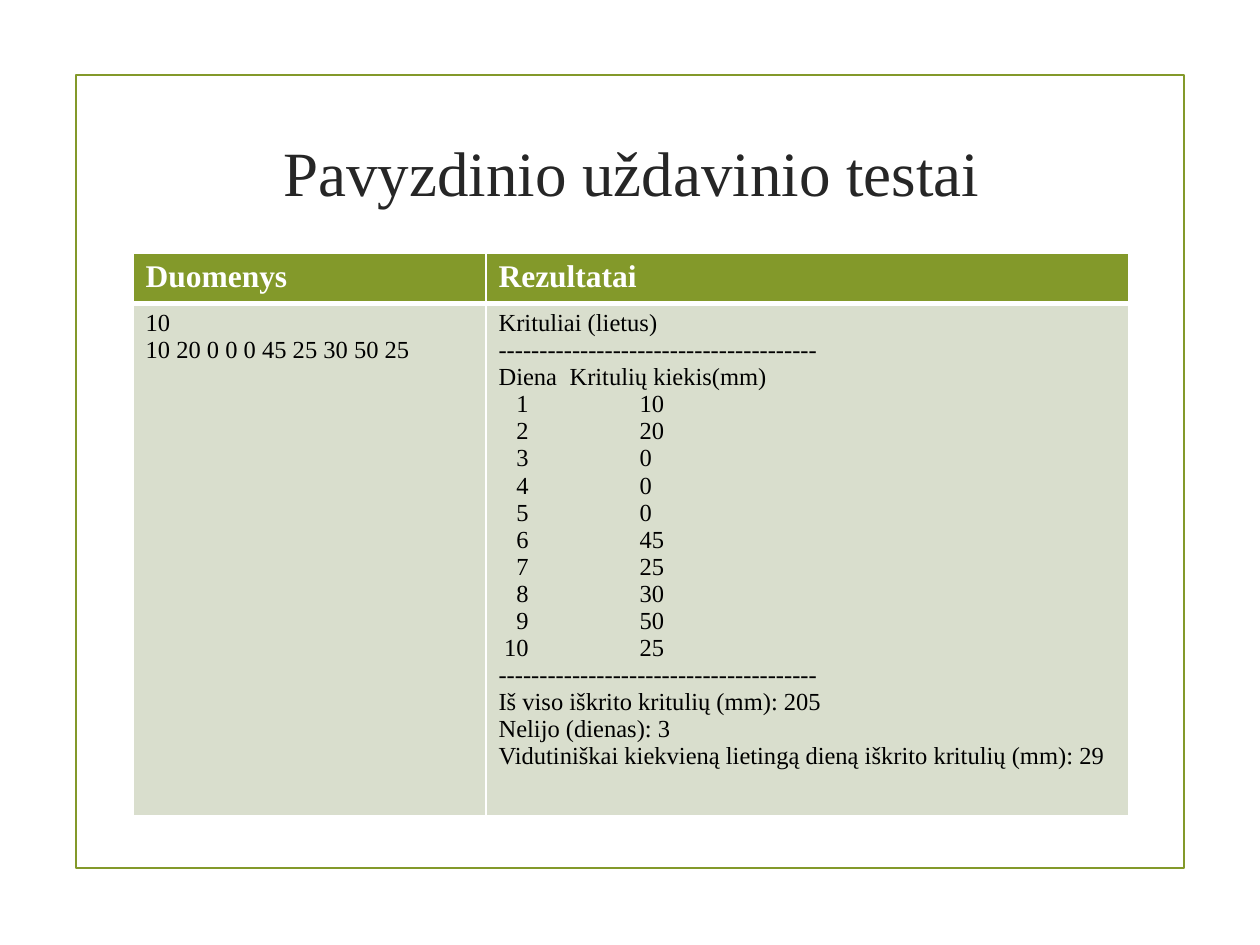
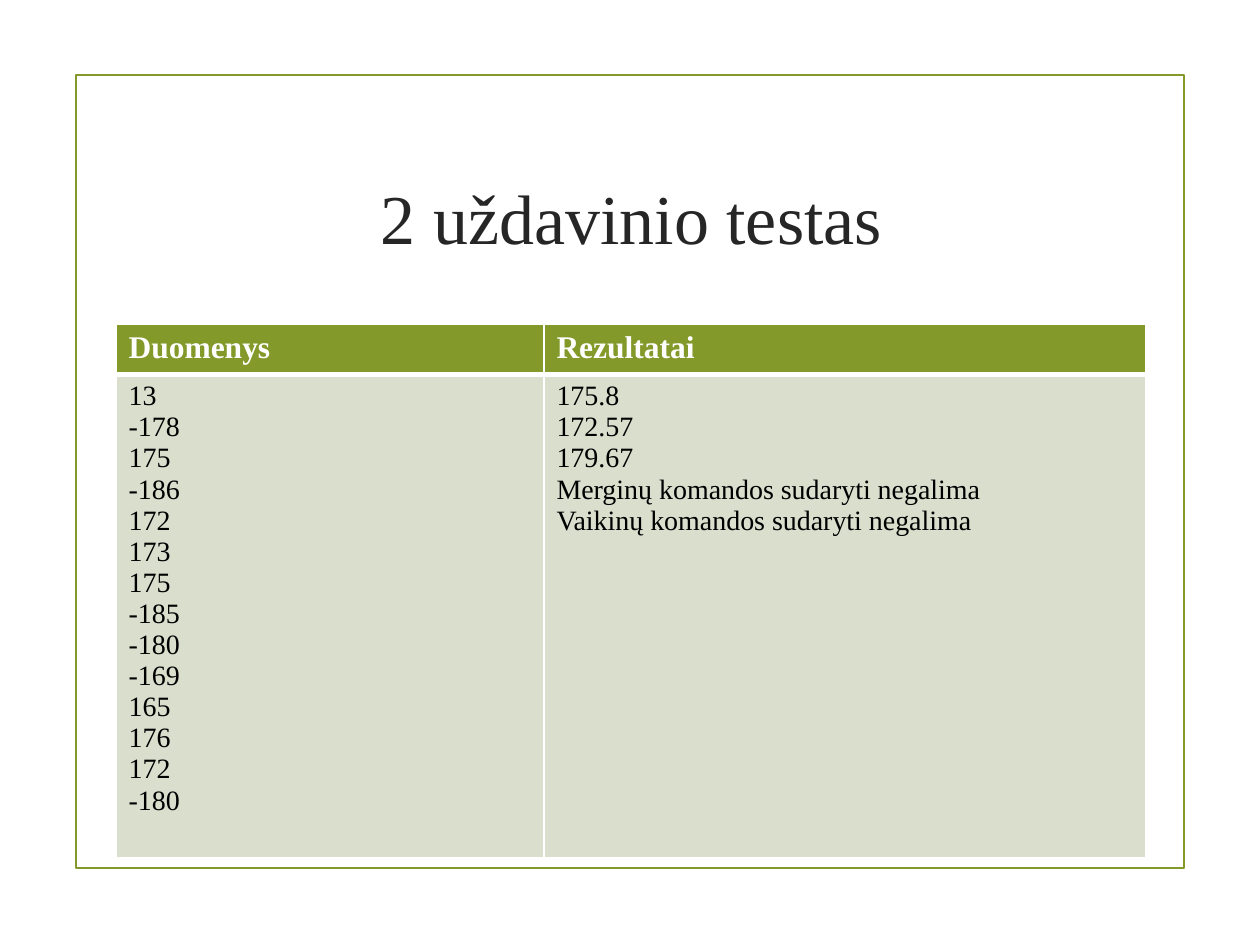
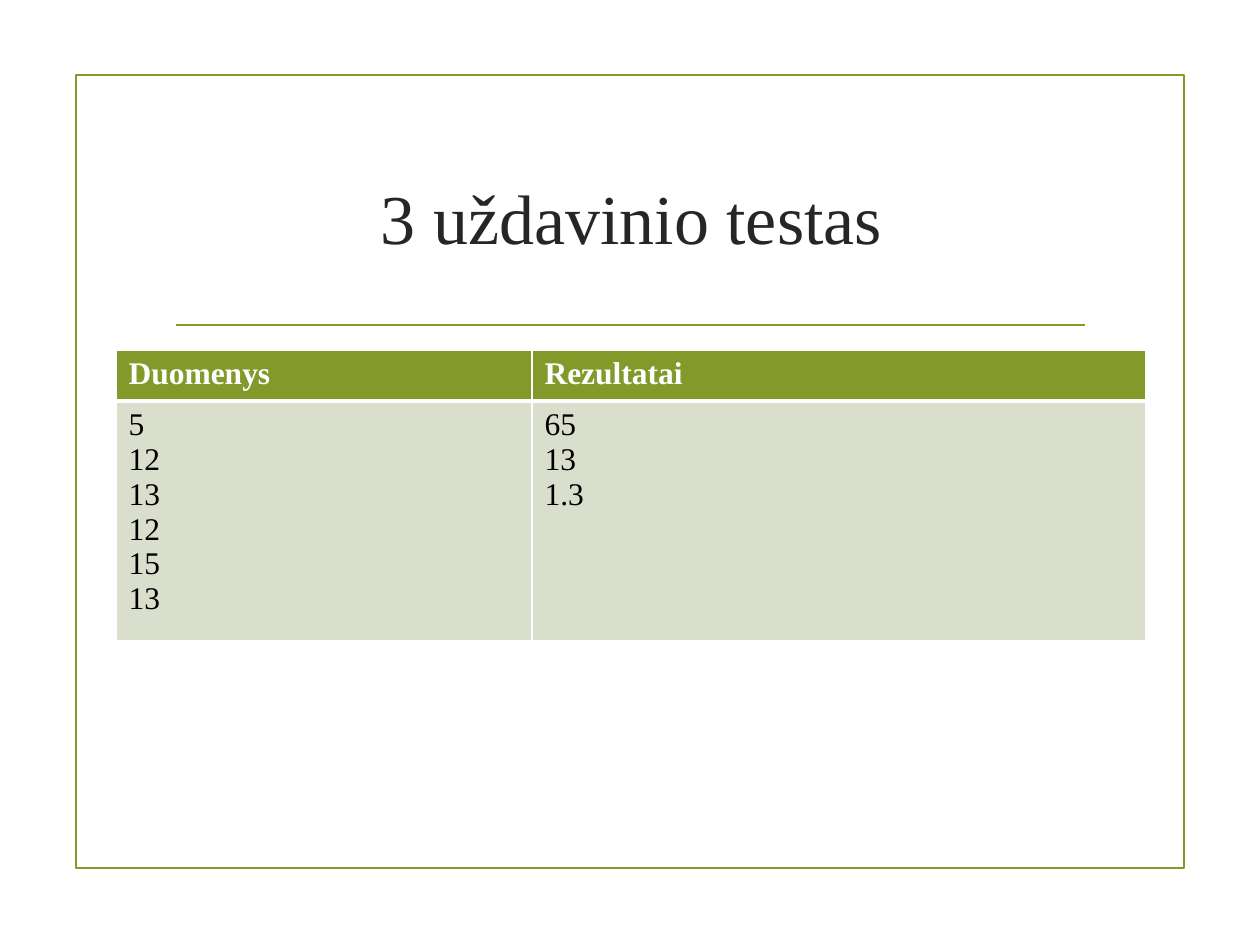
from dataclasses import dataclass

from lxml.etree import SubElement
from pptx import Presentation
from pptx.dml.color import RGBColor
from pptx.enum.shapes import MSO_CONNECTOR, MSO_SHAPE
from pptx.enum.text import MSO_ANCHOR, PP_ALIGN
from pptx.oxml.ns import qn
from pptx.util import Emu, Pt


@dataclass(frozen=True)
class Theme:
    font: str = "Times New Roman"
    green: RGBColor = RGBColor(0x83, 0x99, 0x2A)
    pale: RGBColor = RGBColor(0xD9, 0xDE, 0xCD)
    title_color: RGBColor = RGBColor(0x26, 0x26, 0x26)
    white: RGBColor = RGBColor(0xFF, 0xFF, 0xFF)
    black: RGBColor = RGBColor(0, 0, 0)
    line: float = 1.25
    cell_border: int = 1
    header_border: int = 3
    header_size: int = 18


THEME = Theme()
EMU_PER_PX = 914400 / 126


def px(length):
    return Emu(round(length * EMU_PER_PX))


def add_text(paragraph, text, size, color, bold=False):
    run = paragraph.add_run()
    run.text = text
    run.font.name = THEME.font
    run.font.size = Pt(size)
    run.font.bold = bold
    run.font.color.rgb = color


# Content: tabs in the rainfall report line up with the stops below
DASHES = "-" * 39
rainfall = [10, 20, 0, 0, 0, 45, 25, 30, 50, 25]
rainfall_report = [
    "Krituliai (lietus)",
    DASHES,
    "Diena\tKritulių kiekis(mm)",
    *[f"\t{day}\t{amount}" for day, amount in enumerate(rainfall, 1)],
    DASHES,
    "Iš viso iškrito kritulių (mm): 205",
    "Nelijo (dienas): 3",
    "Vidutiniškai kiekvieną lietingą dieną iškrito kritulių (mm): 29",
]
HEADING_STOPS = [(71, "l")]
DAY_STOPS = [(30, "r"), (141, "l")]
HEADINGS = ["Duomenys", "Rezultatai"]

tests = [
    dict(title="Pavyzdinio uždavinio testai", title_size=36, title_height=90,
         corner=(133, 253), columns=(353, 643), rows=(48, 473), body_size=14, rule=False,
         body=[["10", " ".join(map(str, rainfall))], rainfall_report]),
    dict(title="2 uždavinio testas", title_size=40, title_height=180,
         corner=(116, 324), columns=(428, 602), rows=(48, 447), body_size=16, rule=False,
         body=[["13", "-178", "175", "-186", "172", "173", "175", "-185",
                "-180", "-169", "165", "176", "172", "-180"],
               ["175.8", "172.57", "179.67",
                "Merginų komandos sudaryti negalima",
                "Vaikinų komandos sudaryti negalima"]]),
    dict(title="3 uždavinio testas", title_size=40, title_height=180,
         corner=(116, 350), columns=(416, 614), rows=(51, 221), body_size=18, rule=True,
         body=[["5", "12", "13", "12", "15", "13"], ["65", "13", "1.3"]]),
]

presentation = Presentation()
presentation.slide_width = px(1260)
presentation.slide_height = px(945)

for test in tests:
    slide = presentation.slides.add_slide(presentation.slide_layouts[6])

    # Frame
    frame = slide.shapes.add_shape(MSO_SHAPE.RECTANGLE, px(76), px(75), px(1108), px(793))
    frame.shadow.inherit = False
    frame.fill.background()
    frame.line.color.rgb = THEME.green
    frame.line.width = Pt(THEME.line)

    # Rule under the title
    if test["rule"]:
        rule = slide.shapes.add_connector(
            MSO_CONNECTOR.STRAIGHT, px(176), px(325), px(1085), px(325))
        rule.line.color.rgb = THEME.green
        rule.line.width = Pt(THEME.line)
        SubElement(rule.element.spPr, qn("a:effectLst"))

    # Title
    title = slide.shapes.add_textbox(px(163), px(126), px(937), px(test["title_height"]))
    title_frame = title.text_frame
    title_frame.word_wrap = True
    title_frame.vertical_anchor = MSO_ANCHOR.MIDDLE
    title_frame.paragraphs[0].alignment = PP_ALIGN.CENTER
    add_text(title_frame.paragraphs[0], test["title"], test["title_size"], THEME.title_color)

    # Table of data and results
    left, top = test["corner"]
    table = slide.shapes.add_table(2, 2, px(left), px(top), px(sum(test["columns"])),
                                   px(sum(test["rows"]))).table
    table.horz_banding = False
    for column, width in zip(table.columns, test["columns"]):
        column.width = px(width)
    for row, height in zip(table.rows, test["rows"]):
        row.height = px(height)

    for column_index, heading in enumerate(HEADINGS):
        for row_index, lines in enumerate([[heading], test["body"][column_index]]):
            cell = table.cell(row_index, column_index)
            is_header = row_index == 0

            # Borders: the thick one separates header and body
            thick_side = "a:lnB" if is_header else "a:lnT"
            properties = cell._tc.get_or_add_tcPr()
            for side in ("a:lnL", "a:lnR", "a:lnT", "a:lnB"):
                width = THEME.header_border if side == thick_side else THEME.cell_border
                border = SubElement(properties, qn(side), w=str(Pt(width)))
                fill = SubElement(border, qn("a:solidFill"))
                SubElement(fill, qn("a:srgbClr"), val=str(THEME.white))
            cell.fill.solid()
            cell.fill.fore_color.rgb = THEME.green if is_header else THEME.pale

            # Lines of text
            for line_index, line in enumerate(lines):
                text_frame = cell.text_frame
                paragraph = text_frame.add_paragraph() if line_index else text_frame.paragraphs[0]
                if "\t" in line:
                    stops = DAY_STOPS if line.startswith("\t") else HEADING_STOPS
                    tab_list = SubElement(paragraph._p.get_or_add_pPr(), qn("a:tabLst"))
                    for position, alignment in stops:
                        SubElement(tab_list, qn("a:tab"), pos=str(px(position)), algn=alignment)
                if is_header:
                    add_text(paragraph, line, THEME.header_size, THEME.white, bold=True)
                else:
                    add_text(paragraph, line, test["body_size"], THEME.black)

presentation.save("out.pptx")
